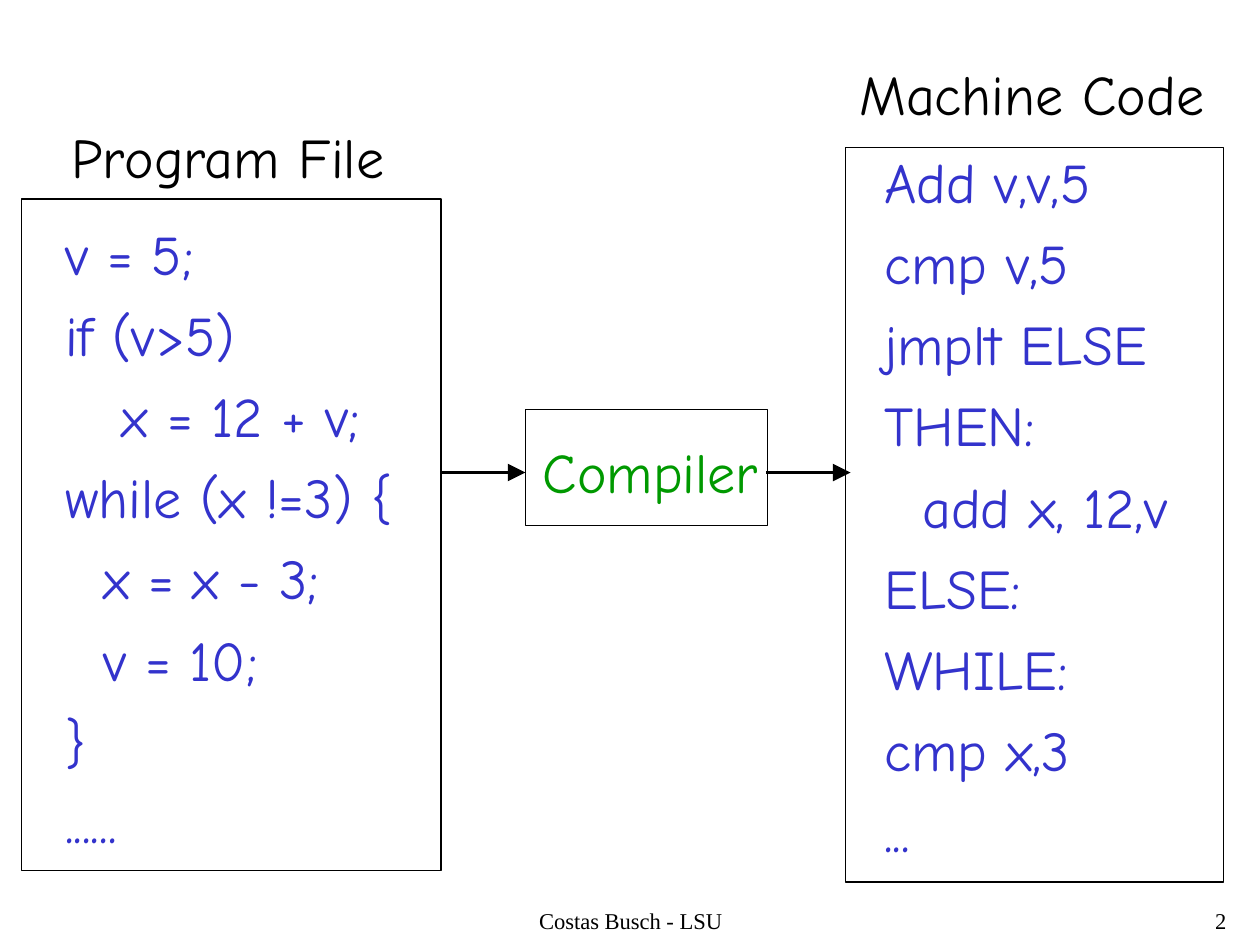
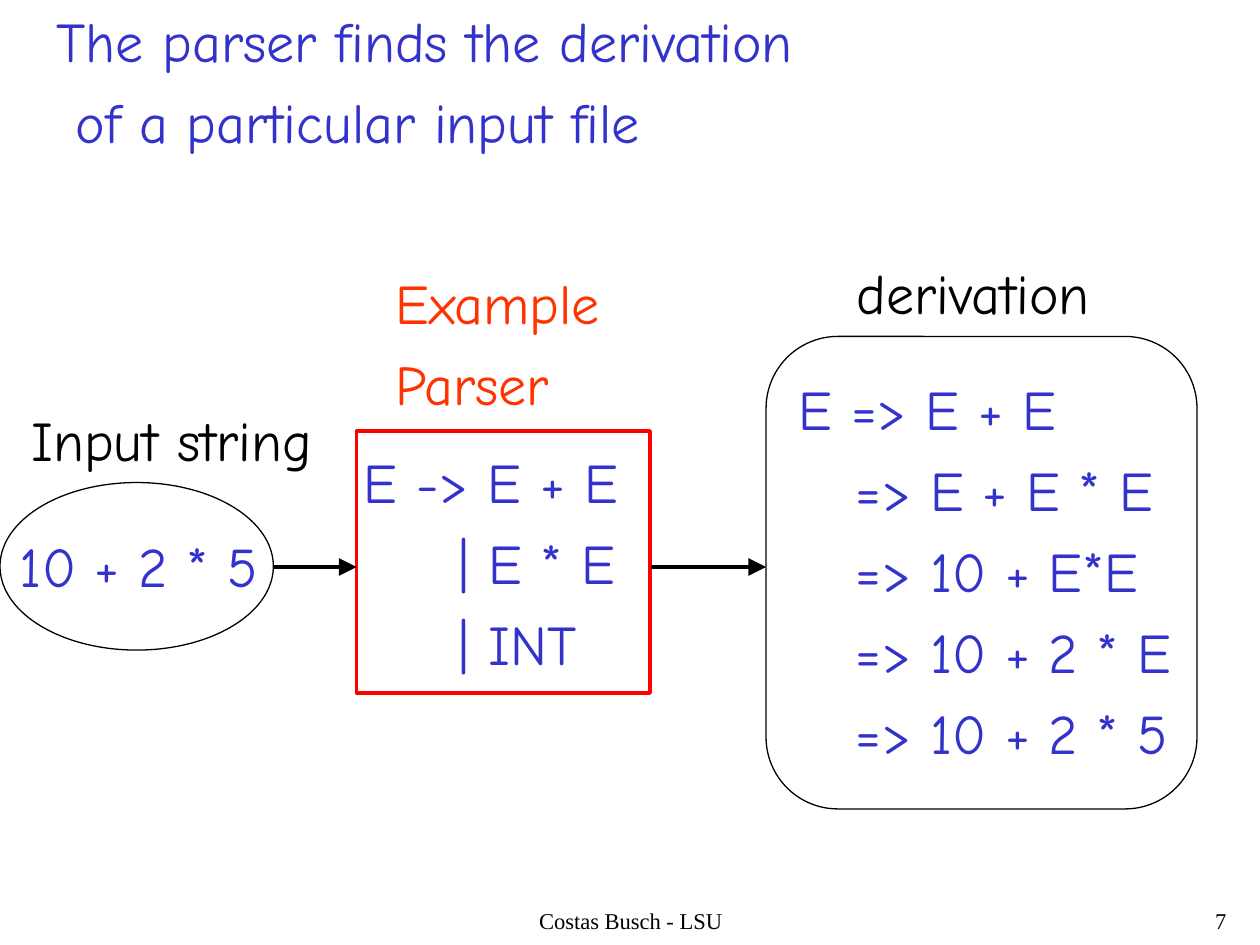
import collections

import lxml.etree
import pptx
import pptx.dml.color
import pptx.enum.shapes
import pptx.enum.text
import pptx.oxml.ns
import pptx.util

Inches = pptx.util.Inches
Pt = pptx.util.Pt
SHAPE = pptx.enum.shapes.MSO_SHAPE
ALIGN = pptx.enum.text.PP_ALIGN
qn = pptx.oxml.ns.qn

COLORS = {
    "black": "000000",
    "code": "3333CC",
    "compiler": "009900",
    "heading": "FF3300",
    "frame": "FF0000",
}
BODY_FONT = "Comic Neue"
FOOTER_FONT = "Times New Roman"
LINE_PITCH = 0.64
SPACE_WIDTH = 0.15
WRAP_SLACK = 0.15

Box = collections.namedtuple("Box", "left top width height")
Label = collections.namedtuple("Label", "dx dy width color lines")


def rgb(name):
    return pptx.dml.color.RGBColor.from_string(COLORS[name])


def format_span(span, font, size, color):
    span.font.name = font
    span.font.size = Pt(size)
    span.font.color.rgb = rgb(color)


def fill_lines(frame, lines, color):
    frame.word_wrap = True
    frame.auto_size = pptx.enum.text.MSO_AUTO_SIZE.SHAPE_TO_FIT_TEXT
    frame.vertical_anchor = pptx.enum.text.MSO_ANCHOR.TOP
    frame.text = "\n".join(line.lstrip() for line in lines)
    for para, line in zip(frame.paragraphs, lines):
        depth = len(line) - len(line.lstrip())
        para.alignment = ALIGN.LEFT
        para.space_before = Pt(8)
        if depth:
            indent = Inches(depth * SPACE_WIDTH)
            para._p.get_or_add_pPr().set("marL", str(indent))
        for span in para.runs:
            format_span(span, BODY_FONT, 32, color)


def add_label(page, box, label):
    area = page.shapes.add_textbox(
        Inches(box.left + label.dx),
        Inches(box.top + label.dy),
        Inches(label.width + WRAP_SLACK),
        Inches(LINE_PITCH * len(label.lines)),
    )
    fill_lines(area.text_frame, label.lines, label.color)


def add_stage(page, box, kind, labels, line_color="black", line_width=0.75):
    outline = page.shapes.add_shape(kind, *map(Inches, box))
    outline.shadow.inherit = False
    outline.fill.background()
    outline.line.color.rgb = rgb(line_color)
    outline.line.width = Pt(line_width)
    for label in labels:
        add_label(page, box, label)


def add_arrow(page, start, end, height):
    arrow = page.shapes.add_connector(
        pptx.enum.shapes.MSO_CONNECTOR.STRAIGHT,
        Inches(start), Inches(height), Inches(end), Inches(height),
    )
    arrow.line.color.rgb = rgb("black")
    arrow.line.width = Pt(2)
    head = lxml.etree.SubElement(arrow.line._get_or_add_ln(), qn("a:tailEnd"))
    for key, value in (("type", "triangle"), ("w", "lg"), ("len", "lg")):
        head.set(key, value)
    lxml.etree.SubElement(arrow._element.spPr, qn("a:effectLst"))


def add_footer(page, number):
    entries = (
        (Box(3.42, 7.17, 3.17, 0.33), "Costas Busch - LSU", ALIGN.CENTER),
        (Box(7.75, 7.17, 2.08, 0.33), str(number), ALIGN.RIGHT),
    )
    for box, text, alignment in entries:
        frame = page.shapes.add_textbox(*map(Inches, box)).text_frame
        frame.word_wrap = True
        frame.text = text
        para = frame.paragraphs[0]
        para.alignment = alignment
        para.line_spacing = 0.9
        format_span(para.runs[0], FOOTER_FONT, 12.9, "black")


def add_title(page, box, lines):
    title = page.shapes.title
    title.left, title.top, title.width, title.height = map(Inches, box)
    fill_lines(title.text_frame, lines, "code")


def build_compiler_page(deck):
    page = deck.slides.add_slide(deck.slide_layouts[6])
    add_footer(page, 2)
    program = ["v = 5;", "if (v>5)", "   x = 12 + v;", "while (x !=3) {",
               "  x = x - 3;", "  v = 10;", "}", "......"]
    machine = ["Add v,v,5", "cmp v,5", "jmplt ELSE", "THEN:",
               "  add x, 12,v", "ELSE:", "WHILE:", "cmp x,3", "..."]
    add_stage(page, Box(0.17, 1.58, 3.33, 5.33), SHAPE.RECTANGLE, [
        Label(0.3, -0.66, 2.7, "black", ["Program File"]),
        Label(0.25, 0.11, 2.79, "code", program),
    ])
    add_stage(page, Box(4.17, 3.25, 1.92, 0.92), SHAPE.RECTANGLE, [
        Label(0.04, 0.17, 1.91, "compiler", ["Compiler"]),
    ])
    add_stage(page, Box(6.71, 1.17, 3, 5.83), SHAPE.RECTANGLE, [
        Label(0.01, -0.75, 2.94, "black", ["Machine Code"]),
        Label(0.21, -0.05, 2.53, "code", machine),
    ])
    add_arrow(page, 3.5, 4.17, 3.75)
    add_arrow(page, 6.08, 6.75, 3.75)


def build_parser_page(deck):
    page = deck.slides.add_slide(deck.slide_layouts[5])
    add_title(page, Box(0.35, 0, 6.06 + WRAP_SLACK, 1.28),
              ["The parser finds the derivation", " of a particular input file"])
    add_footer(page, 7)
    grammar = ["E -> E + E", "     | E * E", "     | INT"]
    derivation = ["E => E + E", "   => E + E * E", "   => 10 + E*E",
                  "   => 10 + 2 * E", "   => 10 + 2 * 5"]
    add_stage(page, Box(0, 3.83, 2.17, 1.33), SHAPE.OVAL, [
        Label(0.15, -0.66, 2.43, "black", ["Input string"]),
        Label(0.06, 0.34, 2.09, "code", ["10 + 2 * 5"]),
    ])
    add_stage(page, Box(2.83, 3.42, 2.33, 2.08), SHAPE.RECTANGLE, [
        Label(0.21, -1.34, 1.98, "heading", ["Example", "Parser"]),
        Label(-0.04, 0.08, 2.36, "code", grammar),
    ], "frame", 2)
    add_stage(page, Box(6.08, 2.67, 3.42, 3.75), SHAPE.ROUNDED_RECTANGLE, [
        Label(0.62, -0.67, 2.06, "black", ["derivation"]),
        Label(0.16, 0.25, 3.15, "code", derivation),
    ])
    add_arrow(page, 2.17, 2.83, 4.5)
    add_arrow(page, 5.17, 6.08, 4.5)


def main():
    deck = pptx.Presentation()
    deck.slide_width = Inches(10)
    deck.slide_height = Inches(7.5)
    build_compiler_page(deck)
    build_parser_page(deck)
    deck.save("out.pptx")


if __name__ == "__main__":
    main()
